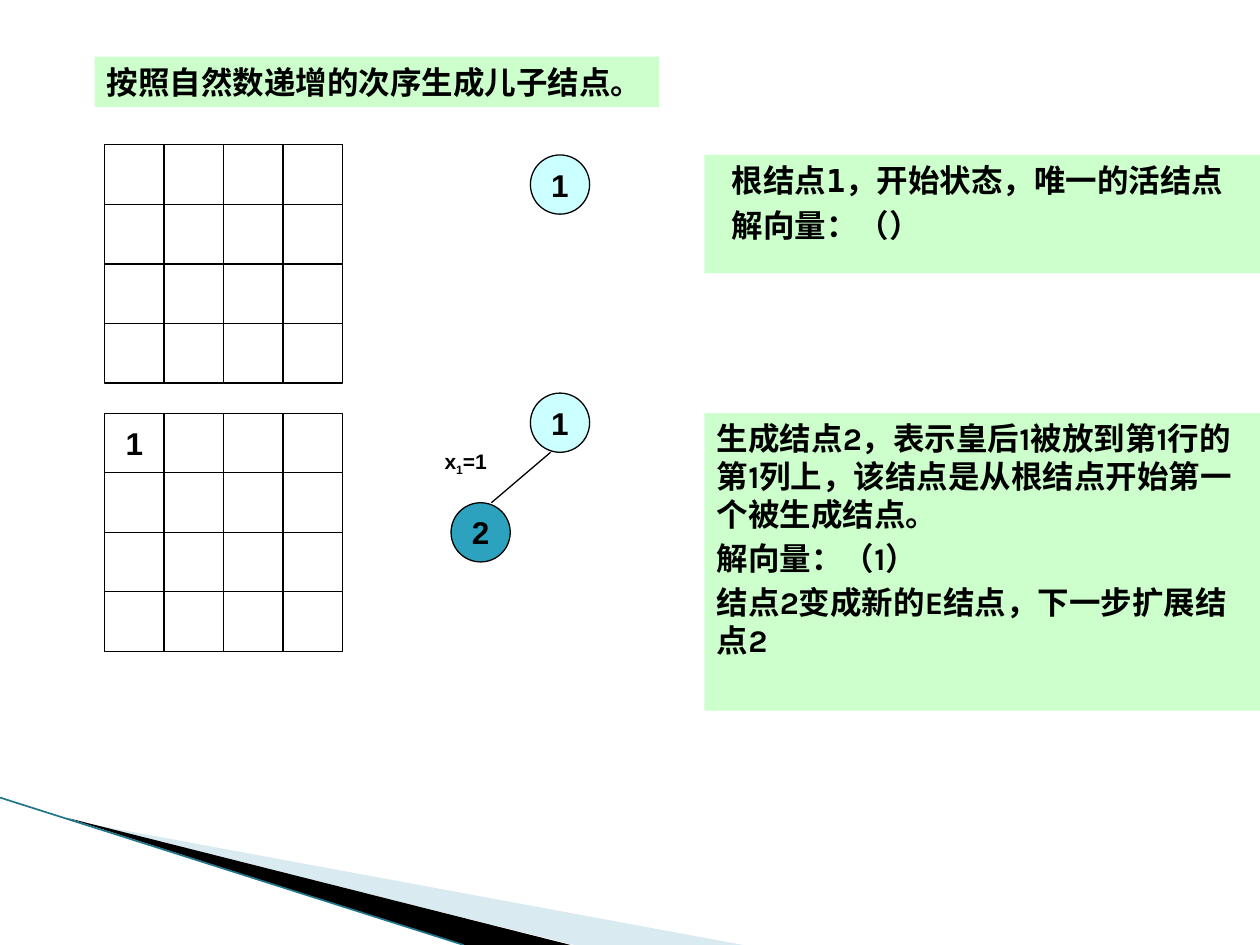
from lxml import etree
from pptx import Presentation
from pptx.dml.color import RGBColor
from pptx.enum.shapes import MSO_CONNECTOR, MSO_SHAPE
from pptx.enum.text import MSO_ANCHOR, PP_ALIGN
from pptx.oxml.ns import qn
from pptx.util import Inches, Pt

RECT, OVAL = MSO_SHAPE.RECTANGLE, MSO_SHAPE.OVAL
STRAIGHT = MSO_CONNECTOR.STRAIGHT
LEFT, CENTER = PP_ALIGN.LEFT, PP_ALIGN.CENTER
TOP, MIDDLE = MSO_ANCHOR.TOP, MSO_ANCHOR.MIDDLE

BLACK = RGBColor(0x00, 0x00, 0x00)
GREEN = RGBColor(0xCC, 0xFF, 0xCC)
PALE_CYAN = RGBColor(0xCC, 0xFF, 0xFF)
TEAL = RGBColor(0x2D, 0xA2, 0xBF)
PALE_BLUE = RGBColor(0xD9, 0xEA, 0xF1)
EDGE_BLUE = RGBColor(0x1F, 0x75, 0x8A)

CELL = 0.4725
NODE = 0.47
BOARD_SIZE = 4


def add_text(s, paragraphs, font="Arial", size=18, align=LEFT, anchor=TOP,
             wrap=False, before=0, margin=0, indent=0):
    tf = s.text_frame
    tf.word_wrap = wrap
    tf.vertical_anchor = anchor
    for i, runs in enumerate(paragraphs):
        p = tf.paragraphs[0] if i == 0 else tf.add_paragraph()
        p.alignment = align
        p.space_before = Pt(before)
        pPr = p._p.get_or_add_pPr()
        pPr.set("marL", str(Inches(margin)))
        pPr.set("indent", str(Inches(indent)))
        for text, baseline in runs:
            r = p.add_run()
            r.text = text
            r.font.name = font
            r.font.size = Pt(size)
            r.font.bold = True
            r.font.color.rgb = BLACK
            if baseline:
                r._r.get_or_add_rPr().set("baseline", str(baseline * 1000))


def plain(*lines):
    return [[(line, 0)] for line in lines]


def style(s, fill=None, line=None):
    s.shadow.inherit = False
    if fill is None:
        s.fill.background()
    else:
        s.fill.solid()
        s.fill.fore_color.rgb = fill
    if line is None:
        s.line.fill.background()
    else:
        s.line.color.rgb = line
        s.line.width = Pt(0.75)


def add_shape(shapes, kind, x, y, w, h, fill=None, line=None):
    s = shapes.add_shape(kind, Inches(x), Inches(y), Inches(w), Inches(h))
    style(s, fill, line)
    return s


def add_wedge(shapes, points, fill):
    start, *rest = [(Inches(x), Inches(y)) for x, y in points]
    builder = shapes.build_freeform(*start, scale=1.0)
    builder.add_line_segments(rest, close=True)
    style(builder.convert_to_shape(), fill)


def add_line(shapes, x1, y1, x2, y2, color, width=0.75):
    c = shapes.add_connector(STRAIGHT, Inches(x1), Inches(y1), Inches(x2), Inches(y2))
    c.line.color.rgb = color
    c.line.width = Pt(width)
    etree.SubElement(c._element.spPr, qn("a:effectLst"))


def add_board(shapes, x, y, queens):
    group = shapes.add_group_shape()
    for row in range(BOARD_SIZE):
        for col in range(BOARD_SIZE):
            s = add_shape(group.shapes, RECT, x + col * CELL, y + row * CELL,
                          CELL, CELL, line=BLACK)
            if (row, col) in queens:
                add_text(s, plain(queens[row, col]), align=CENTER, anchor=MIDDLE)


def add_node(shapes, x, y, label, fill):
    s = add_shape(shapes, OVAL, x, y, NODE, NODE, fill, BLACK)
    add_text(s, plain(label), align=CENTER, anchor=MIDDLE)


def add_panel(shapes, x, y, w, h, lines, **fmt):
    s = add_shape(shapes, RECT, x, y, w, h, GREEN)
    add_text(s, plain(*lines), **fmt)


def main():
    prs = Presentation()
    prs.slide_width, prs.slide_height = Inches(10), Inches(7.5)
    shapes = prs.slides.add_slide(prs.slide_layouts[6]).shapes

    add_wedge(shapes, [(0.55, 6.51), (5.9, 7.5), (4.56, 7.5)], PALE_BLUE)
    add_wedge(shapes, [(0.53, 6.49), (4.53, 7.5), (3.68, 7.5)], BLACK)
    add_line(shapes, 0, 6.33, 3.68, 7.5, EDGE_BLUE, 0.95)

    add_panel(shapes, 5.59, 1.23, 4.41, 0.94,
              ["根结点1，开始状态，唯一的活结点", "解向量：（）"],
              font="DejaVu Sans Mono", wrap=True, before=4, margin=0.4, indent=-0.28)
    add_board(shapes, 0.83, 1.15, {})
    add_node(shapes, 4.21, 1.23, "1", PALE_CYAN)

    add_board(shapes, 0.83, 3.28, {(0, 0): "1"})
    add_node(shapes, 4.21, 3.12, "1", PALE_CYAN)
    add_node(shapes, 3.58, 3.99, "2", TEAL)
    add_line(shapes, 4.37, 3.59, 3.9, 3.99, BLACK)
    add_panel(shapes, 5.59, 3.28, 4.41, 2.36,
              ["生成结点2，表示皇后1被放到第1行的第1列上，该结点是从根结点开始第一个被生成结点。",
               "解向量：（1）",
               "结点2变成新的E结点，下一步扩展结点2"],
              font="Karla", wrap=True, before=3.6)

    add_panel(shapes, 0.75, 0.45, 4.48, 0.4, ["按照自然数递增的次序生成儿子结点。"])
    label = shapes.add_textbox(Inches(3.43), Inches(3.51), Inches(0.63), Inches(0.3))
    add_text(label, [[("x", 0), ("1", -25), ("=1", 0)]], size=12, wrap=True, before=6)

    prs.save("out.pptx")


if __name__ == "__main__":
    main()
